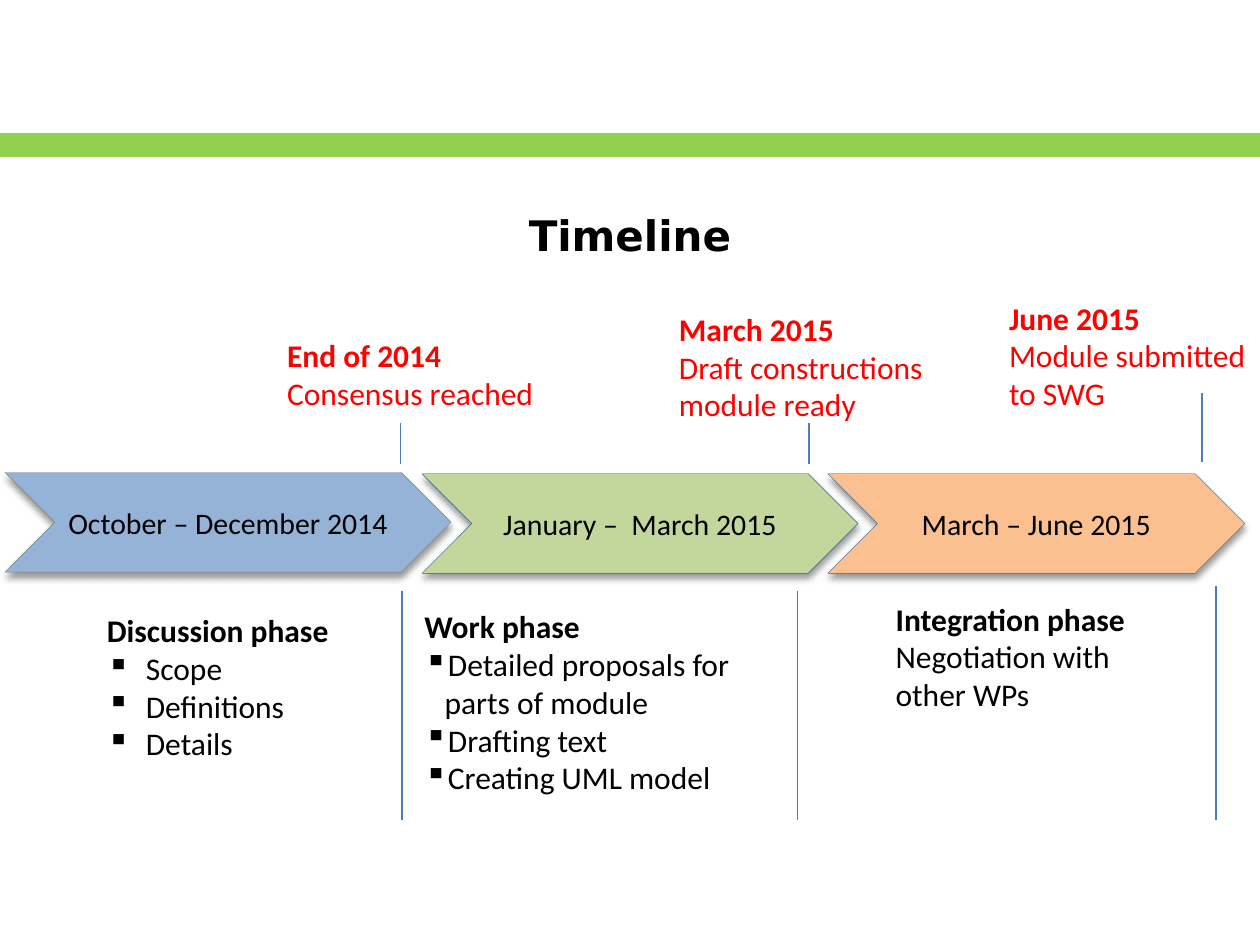
from lxml.etree import SubElement
from pptx import Presentation
from pptx.dml.color import RGBColor
from pptx.enum.shapes import MSO_CONNECTOR as Connector, MSO_SHAPE as Shape
from pptx.enum.text import MSO_ANCHOR as Anchor, MSO_AUTO_SIZE as AutoSize, PP_ALIGN as Align
from pptx.oxml.ns import qn
from pptx.util import Inches, Pt

BLACK, RED = RGBColor(0, 0, 0), RGBColor(0xFF, 0, 0)
GREEN = RGBColor(0x92, 0xD0, 0x50)
LINE_BLUE = RGBColor(0x4B, 0x7E, 0xBC)
EDGE_BLUE, EDGE_GRAY = RGBColor(0x3A, 0x5F, 0x8C), RGBColor(0x80, 0x80, 0x80)
PHASE_BLUE = RGBColor(0x95, 0xB3, 0xD7)
PHASE_GREEN = RGBColor(0xC3, 0xD6, 0x9B)
PHASE_ORANGE = RGBColor(0xFA, 0xC0, 0x90)

# Content: lengths in inches
TITLE = "Timeline"
PERIODS = [  # label, left, top, width, fill, edge
    ("October – December 2014", 0.04, 3.75, 3.54, PHASE_BLUE, EDGE_GRAY),
    ("January –  March 2015", 3.35, 3.76, 3.46, PHASE_GREEN, EDGE_BLUE),
    ("March – June 2015", 6.57, 3.76, 3.31, PHASE_ORANGE, EDGE_BLUE),
]
PHASES = [  # heading, lines, box, bullet indent (None for plain text), wrap
    ("Discussion phase", ["Scope", "Definitions", "Details"],
     (0.75, 4.8, 1.97, 1.31), 0.31, False),
    ("Work phase", ["Detailed proposals for parts of module", "Drafting text",
                    "Creating UML model"], (3.27, 4.77, 2.99, 1.92), 0.16, True),
    ("Integration phase", ["Negotiation with other WPs"],
     (7.01, 4.71, 2.28, 1.01), None, True),
]
MILESTONES = [  # heading, lines, box, wrap
    ("End of 2014", ["Consensus reached"], (2.18, 2.62, 2.18, 0.71), False),
    ("March 2015", ["Draft constructions", "module ready"], (5.29, 2.41, 2.22, 1.01), False),
    ("June 2015", ["Module submitted to SWG"], (7.91, 2.32, 2.09, 1.01), True),
]
DIVIDERS = [(3.19, 4.69, 6.51), (6.33, 4.69, 6.51), (9.65, 4.65, 6.51)]  # x, top, bottom
MARKERS = [(3.18, 3.36, 3.68), (6.42, 3.36, 3.68), (9.54, 3.12, 3.67)]
CHEVRON_HEIGHT = 0.79
BULLET_HANG = 0.31


def write(para, text, size=18, font="Calibri", color=BLACK, bold=False, align=Align.LEFT):
    para.alignment = align
    span = para.add_run()
    span.text = text
    span.font.size, span.font.name, span.font.bold = Pt(size), font, bold
    span.font.color.rgb = color


def add_bullet(para, indent):
    props = para._p.get_or_add_pPr()
    props.set("marL", str(Inches(indent)))
    props.set("indent", str(-Inches(BULLET_HANG)))
    SubElement(props, qn("a:buChar"), char="▪")


def add_note(page, heading, lines, place, wrap, color=BLACK, indent=None):
    frame = page.shapes.add_textbox(*map(Inches, place)).text_frame
    frame.word_wrap = wrap
    frame.auto_size = AutoSize.SHAPE_TO_FIT_TEXT
    write(frame.paragraphs[0], heading, color=color, bold=True)
    for line in lines:
        para = frame.add_paragraph()
        write(para, line, color=color)
        if indent is not None:
            add_bullet(para, indent)


def add_block(page, kind, place, fill, edge, edge_width):
    block = page.shapes.add_shape(kind, *map(Inches, place))
    block.shadow.inherit = False
    block.fill.solid()
    block.fill.fore_color.rgb = fill
    block.line.color.rgb = edge
    block.line.width = Pt(edge_width)
    return block


def add_period(page, label, left, top, width, fill, edge):
    chevron = add_block(page, Shape.CHEVRON, (left, top, width, CHEVRON_HEIGHT), fill, edge, 0.25)
    # Soft shadow straight below
    effects = chevron._element.spPr.find(qn("a:effectLst"))
    shadow = SubElement(effects, qn("a:outerShdw"), blurRad=str(Pt(4)), dist=str(Pt(3)),
                        dir=str(90 * 60000), rotWithShape="0")
    tint = SubElement(shadow, qn("a:srgbClr"), val=str(BLACK))
    SubElement(tint, qn("a:alpha"), val="40000")
    frame = chevron.text_frame
    frame.margin_left = frame.margin_right = 0
    frame.vertical_anchor = Anchor.MIDDLE
    write(frame.paragraphs[0], label, size=17, align=Align.CENTER)


def add_vertical(page, x, top, bottom):
    line = page.shapes.add_connector(Connector.STRAIGHT, *map(Inches, (x, top, x, bottom)))
    line.line.color.rgb = LINE_BLUE
    line.line.width = Pt(0.75)
    SubElement(line._element.spPr, qn("a:effectLst"))


def main():
    deck = Presentation()
    deck.slide_width, deck.slide_height = Inches(10), Inches(7.5)
    page = deck.slides.add_slide(deck.slide_layouts[5])

    # Header bar and title
    add_block(page, Shape.RECTANGLE, (0, 1.07, 10, 0.16), GREEN, GREEN, 2)
    title = page.shapes.title
    title.left, title.top, title.width, title.height = map(Inches, (0.5, 1.24, 9, 1.25))
    title.text_frame.vertical_anchor = Anchor.MIDDLE
    write(title.text_frame.paragraphs[0], TITLE, size=24, font="DejaVu Sans",
          bold=True, align=Align.CENTER)

    # Periods, with phases below and milestones above
    for period in PERIODS:
        add_period(page, *period)
    for heading, lines, place, indent, wrap in PHASES:
        add_note(page, heading, lines, place, wrap, indent=indent)
    for heading, lines, place, wrap in MILESTONES:
        add_note(page, heading, lines, place, wrap, color=RED)
    for vertical in DIVIDERS + MARKERS:
        add_vertical(page, *vertical)

    deck.save("out.pptx")


if __name__ == "__main__":
    main()
